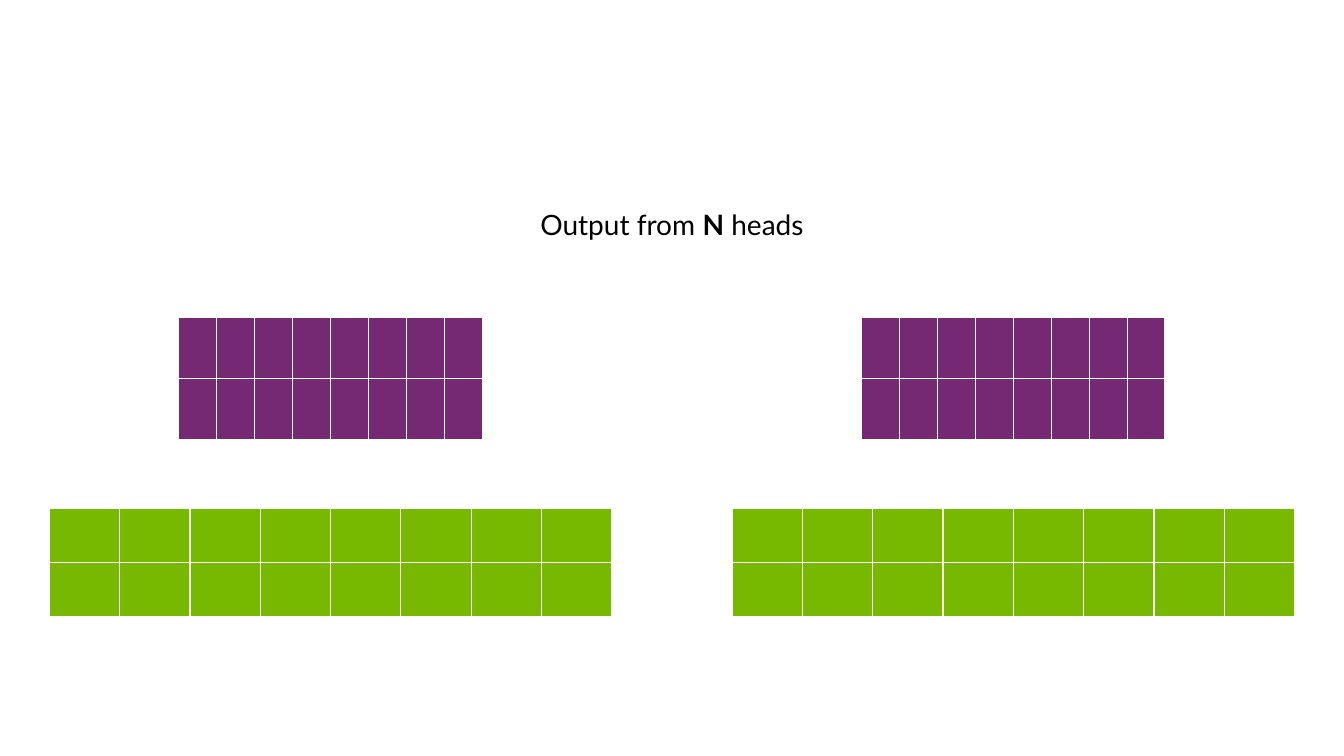
from dataclasses import dataclass

from lxml import etree
from pptx import Presentation
from pptx.dml.color import RGBColor
from pptx.enum.text import MSO_ANCHOR, MSO_AUTO_SIZE, PP_ALIGN
from pptx.oxml.ns import qn
from pptx.slide import Slide
from pptx.table import _Cell
from pptx.util import Inches, Pt

CENTER = PP_ALIGN.CENTER
MIDDLE = MSO_ANCHOR.MIDDLE
GROW = MSO_AUTO_SIZE.SHAPE_TO_FIT_TEXT

WIDE, HIGH = Inches(13.33), Inches(7.5)
ROWS, COLS = 2, 8


@dataclass(frozen=True)
class Theme:
    font: str = "Lato"
    size: int = 20
    text: str = "000000"
    rule: str = "FFFFFF"
    line: int = 1
    green: str = "76B900"
    blue: str = "1F4E79"
    red: str = "C00000"
    violet: str = "7030A0"


@dataclass(frozen=True)
class Layer:
    color: str
    alpha: int = 100


@dataclass(frozen=True)
class Band:
    """A row of matrices: top, width and height in percent of the slide."""
    top: float
    width: float
    height: float
    layers: tuple[Layer, ...]


THEME = Theme()
MIDS = (24.6, 75.4)  # centre of each head, percent of the width
BANDS = (
    Band(67.3, 41.85, 14.3, (Layer(THEME.green),)),
    Band(42, 22.6, 16.1, (Layer(THEME.blue), Layer(THEME.red, 60),
                          Layer(THEME.violet, 60))),
)


def across(share: float) -> int:
    return round(WIDE * share / 100)


def down(share: float) -> int:
    return round(HIGH * share / 100)


def paint(cell: _Cell, layer: Layer) -> None:
    # Borders come before the fill in the cell properties
    props = cell._tc.get_or_add_tcPr()
    for side in ("a:lnL", "a:lnR", "a:lnT", "a:lnB"):
        edge = etree.SubElement(props, qn(side), w=str(Pt(THEME.line)))
        fill = etree.SubElement(edge, qn("a:solidFill"))
        etree.SubElement(fill, qn("a:srgbClr"), val=THEME.rule)
    cell.fill.solid()
    cell.fill.fore_color.rgb = RGBColor.from_string(layer.color)
    if layer.alpha < 100:
        tint = props.find(qn("a:solidFill")).find(qn("a:srgbClr"))
        etree.SubElement(tint, qn("a:alpha"), val=str(layer.alpha * 1000))


def add_grid(slide: Slide, mid: float, band: Band, layer: Layer) -> None:
    width, height = across(band.width), down(band.height)
    left = across(mid - band.width / 2)
    grid = slide.shapes.add_table(
        ROWS, COLS, left, down(band.top), width, height).table
    grid.first_row = grid.horz_banding = False
    for cell in grid.iter_cells():
        paint(cell, layer)


def add_label(slide: Slide, runs: tuple[tuple[str, bool], ...]) -> None:
    width = across(21.2)
    box = slide.shapes.add_textbox(
        (WIDE - width) // 2, down(26.8), width, down(5.8))
    frame = box.text_frame
    frame.word_wrap = False
    frame.auto_size = GROW
    frame.vertical_anchor = MIDDLE
    line = frame.paragraphs[0]
    line.alignment = CENTER
    for text, bold in runs:
        run = line.add_run()
        run.text = text
        run.font.name = THEME.font
        run.font.size = Pt(THEME.size)
        run.font.bold = bold
        run.font.color.rgb = RGBColor.from_string(THEME.text)


def main() -> None:
    deck = Presentation()
    deck.slide_width, deck.slide_height = WIDE, HIGH
    slide = deck.slides.add_slide(deck.slide_layouts[6])

    # Matrices of both heads, each a stack of layers
    for band in BANDS:
        for mid in MIDS:
            for layer in band.layers:
                add_grid(slide, mid, band, layer)

    # Caption
    add_label(slide, (("Output from ", False), ("N", True), (" heads", False)))
    deck.save("out.pptx")


if __name__ == "__main__":
    main()
